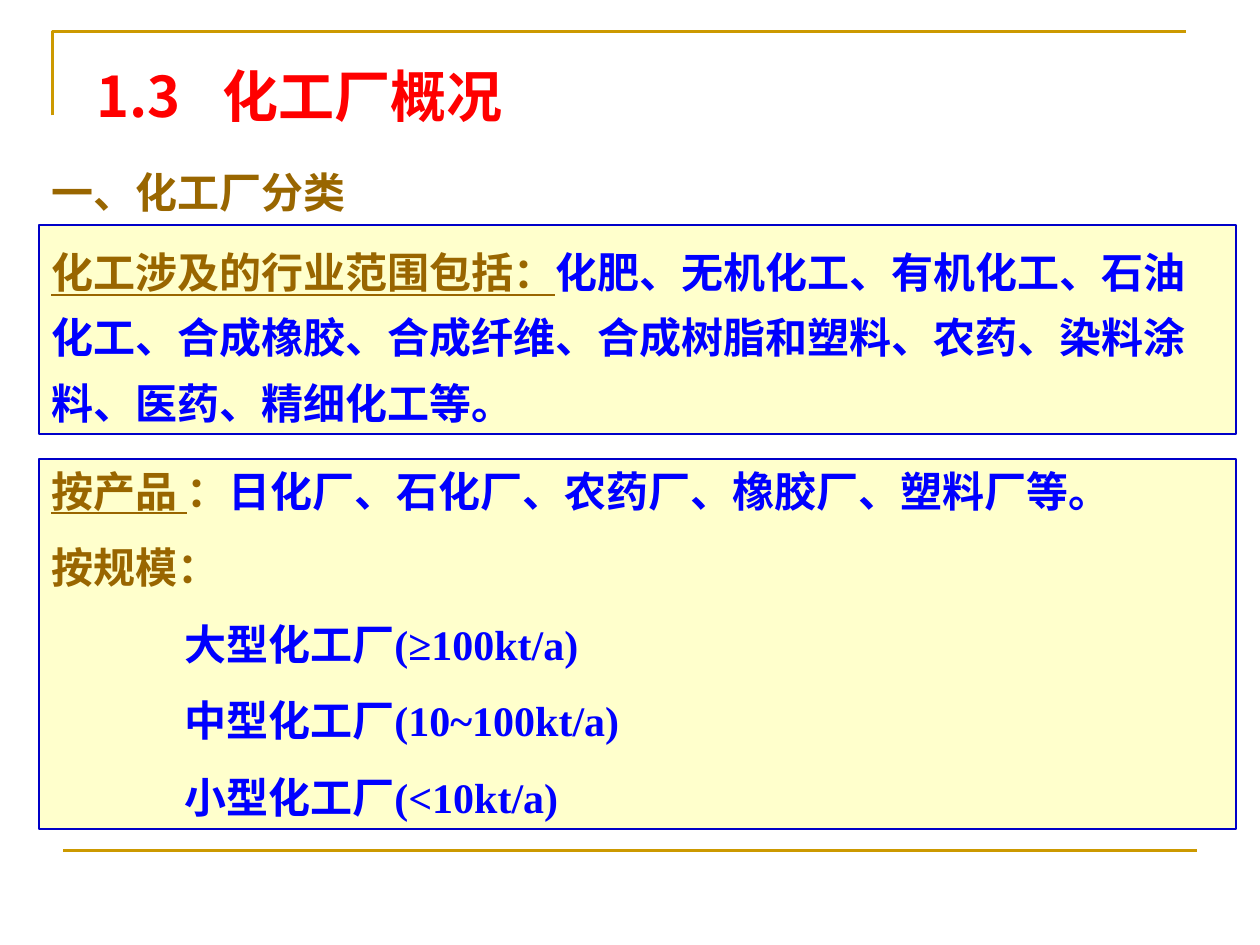
from lxml import etree
from pptx import Presentation
from pptx.dml.color import RGBColor
from pptx.enum import shapes, text
from pptx.oxml import ns
from pptx.util import Pt

GOLD = RGBColor(0xCC, 0x99, 0x00)
BROWN = RGBColor(0x99, 0x66, 0x00)
RED = RGBColor(0xFF, 0x00, 0x00)
BLUE = RGBColor(0x00, 0x00, 0xFF)
BORDER = RGBColor(0x00, 0x00, 0xC8)
CREAM = RGBColor(0xFF, 0xFF, 0xCC)

CJK = "Noto Sans CJK SC"
SERIF = "Times New Roman"
SANS = "Karla"
LEFT = 22.3
PANEL_WIDTH = 684


def sub(parent, tag, **attributes):
    return etree.SubElement(parent, ns.qn(tag), **attributes)


def add_run(paragraph, wording, *, color, font=SERIF, size=24, underline=False):
    """Add bold wording, with the Chinese font for East Asian letters."""
    run = paragraph.add_run()
    run.text = wording
    run.font.name = font
    run.font.size = Pt(size)
    run.font.bold = True
    run.font.underline = underline
    run.font.color.rgb = color
    sub(run.font._element, "a:ea", typeface=CJK)


def format_paragraph(paragraph, *, before=0, spacing=None, indent=0, tab=None):
    paragraph.alignment = text.PP_ALIGN.LEFT
    paragraph.space_before = Pt(before)
    if spacing:
        paragraph.line_spacing = spacing
    properties = paragraph._p.get_or_add_pPr()
    properties.set("marL", str(Pt(indent)))
    properties.set("indent", "0")
    if tab:
        stops = sub(properties, "a:tabLst")
        sub(stops, "a:tab", pos=str(Pt(tab)), algn="l")


def prepare_frame(shape):
    frame = shape.text_frame
    frame.word_wrap = True
    frame.auto_size = text.MSO_AUTO_SIZE.SHAPE_TO_FIT_TEXT
    frame.vertical_anchor = text.MSO_ANCHOR.TOP
    return frame


def add_heading(slide, wording, left, top, width, height, *, tab=None, **style):
    box = slide.shapes.add_textbox(Pt(left), Pt(top), Pt(width), Pt(height))
    paragraph = prepare_frame(box).paragraphs[0]
    format_paragraph(paragraph, tab=tab)
    add_run(paragraph, wording, **style)


def add_panel(slide, top, height):
    panel = slide.shapes.add_shape(
        shapes.MSO_SHAPE.RECTANGLE, Pt(LEFT), Pt(top), Pt(PANEL_WIDTH), Pt(height))
    panel.shadow.inherit = False
    panel.fill.solid()
    panel.fill.fore_color.rgb = CREAM
    panel.line.color.rgb = BORDER
    panel.line.width = Pt(1)
    return prepare_frame(panel)


def add_frame_lines(slide):
    """Draw the corner above the title and the rule at the foot."""
    builder = slide.shapes.build_freeform(Pt(30), Pt(66))
    builder.add_line_segments([(Pt(30), Pt(18)), (Pt(678), Pt(18))], close=False)
    corner = builder.convert_to_shape()
    corner.shadow.inherit = False
    corner.fill.background()
    rule = slide.shapes.add_connector(
        shapes.MSO_CONNECTOR.STRAIGHT, Pt(36), Pt(486), Pt(684), Pt(486))
    sub(rule._element.spPr, "a:effectLst")
    for stroke in (corner.line, rule.line):
        stroke.color.rgb = GOLD
        stroke.width = Pt(1.5)


def add_industries(slide):
    paragraph = add_panel(slide, 128.6, 119.6).paragraphs[0]
    format_paragraph(paragraph, spacing=1.3)
    add_run(paragraph, "化工涉及的行业范围包括：", color=BROWN, font=SANS, underline=True)
    add_run(paragraph, "化肥、无机化工、有机化工、石油化工、合成橡胶、合成纤维、"
            "合成树脂和塑料、农药、染料涂料、医药、精细化工等。", color=BLUE, font=SANS)


def add_classes(slide):
    frame = add_panel(slide, 262.2, 211.4)
    products = frame.paragraphs[0]
    format_paragraph(products)
    add_run(products, "按产品 ", color=BROWN, underline=True)
    add_run(products, "：", color=BROWN)
    add_run(products, "日化厂、石化厂、农药厂、橡胶厂、塑料厂等。", color=BLUE)

    scale_lines = [
        ("按规模：", BROWN, 0),
        ("大型化工厂(≥100kt/a)", BLUE, 76),
        ("中型化工厂(10~100kt/a)", BLUE, 76),
        ("小型化工厂(<10kt/a)", BLUE, 76),
    ]
    for wording, color, indent in scale_lines:
        paragraph = frame.add_paragraph()
        format_paragraph(paragraph, before=15, indent=indent)
        add_run(paragraph, wording, color=color)


def main():
    presentation = Presentation()
    presentation.slide_width, presentation.slide_height = Pt(720), Pt(540)
    slide = presentation.slides.add_slide(presentation.slide_layouts[6])
    add_frame_lines(slide)
    add_heading(slide, "1.3\t化工厂概况", 48.2, 31.7, 289.4, 46,
                tab=69, color=RED, font=CJK, size=32)
    add_heading(slide, "一、化工厂分类", LEFT, 91.4, 682.6, 36, color=BROWN)
    add_industries(slide)
    add_classes(slide)
    presentation.save("out.pptx")


if __name__ == "__main__":
    main()
